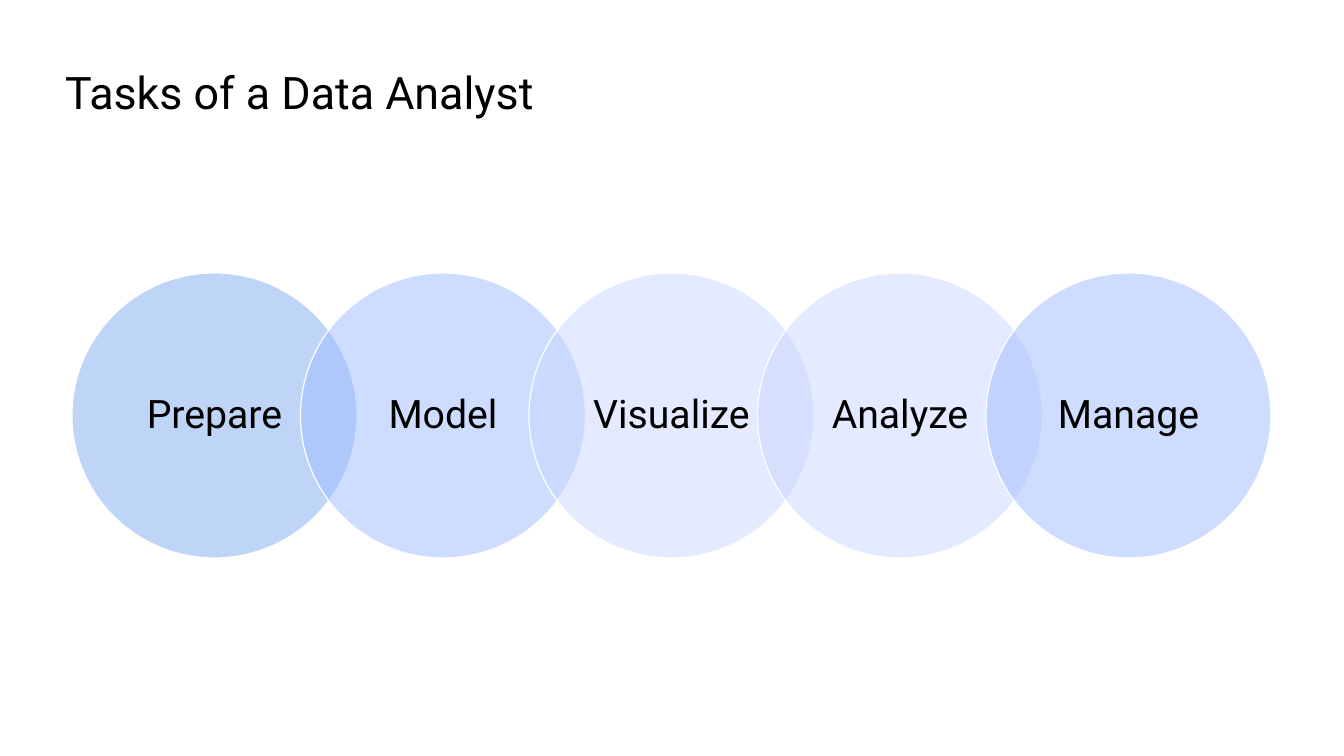
from lxml import etree
from pptx import Presentation
from pptx import util as u
from pptx.dml import color
from pptx.enum import shapes, text
from pptx.oxml import ns

PX = 914400 / 100.8
FONT = "Roboto"
TASKS = [
    ("Prepare", "7FADF3"),
    ("Model", "9FBCFF"),
    ("Visualize", "CBD6FF"),
    ("Analyze", "CBD6FF"),
    ("Manage", "9FBCFF"),
]
FIRST_LEFT, LAST_LEFT = 72, 986
CIRCLE_TOP, DIAMETER = 273, 285


def px(length):
    return u.Emu(round(length * PX))


def paint(target, hex_color):
    target.rgb = color.RGBColor.from_string(hex_color)


def set_opacity(fill_shape, percent):
    solid = fill_shape._element.spPr.find(ns.qn("a:solidFill"))
    alpha = etree.SubElement(solid[0], ns.qn("a:alpha"))
    alpha.set("val", str(percent * 1000))


def write(frame, words, size):
    frame.word_wrap = True
    frame.margin_left = frame.margin_right = 0
    frame.margin_top = frame.margin_bottom = 0
    para = frame.paragraphs[0]
    para.text = words
    para.font.name = FONT
    para.font.size = u.Pt(size)
    paint(para.font.color, "000000")
    return para


def add_title(page, words):
    box = page.shapes.add_textbox(px(65), px(65), px(1214), px(54))
    write(box.text_frame, words, 32)


def add_circle(page, left, words, fill_color):
    circle = page.shapes.add_shape(
        shapes.MSO_SHAPE.OVAL, px(left), px(CIRCLE_TOP), px(DIAMETER), px(DIAMETER)
    )
    circle.shadow.inherit = False
    circle.fill.solid()
    paint(circle.fill.fore_color, fill_color)
    set_opacity(circle, 50)
    paint(circle.line.color, "FFFFFF")
    circle.line.width = u.Pt(0.85)
    frame = circle.text_frame
    frame.vertical_anchor = text.MSO_ANCHOR.MIDDLE
    para = write(frame, words, 28)
    para.alignment = text.PP_ALIGN.CENTER
    para.line_spacing = 0.9


def main():
    deck = Presentation()
    deck.slide_width, deck.slide_height = px(1344), px(756)
    page = deck.slides.add_slide(deck.slide_layouts[6])
    add_title(page, "Tasks of a Data Analyst")
    pitch = (LAST_LEFT - FIRST_LEFT) / (len(TASKS) - 1)
    for index, (words, fill_color) in enumerate(TASKS):
        add_circle(page, FIRST_LEFT + index * pitch, words, fill_color)
    deck.save("out.pptx")


if __name__ == "__main__":
    main()
